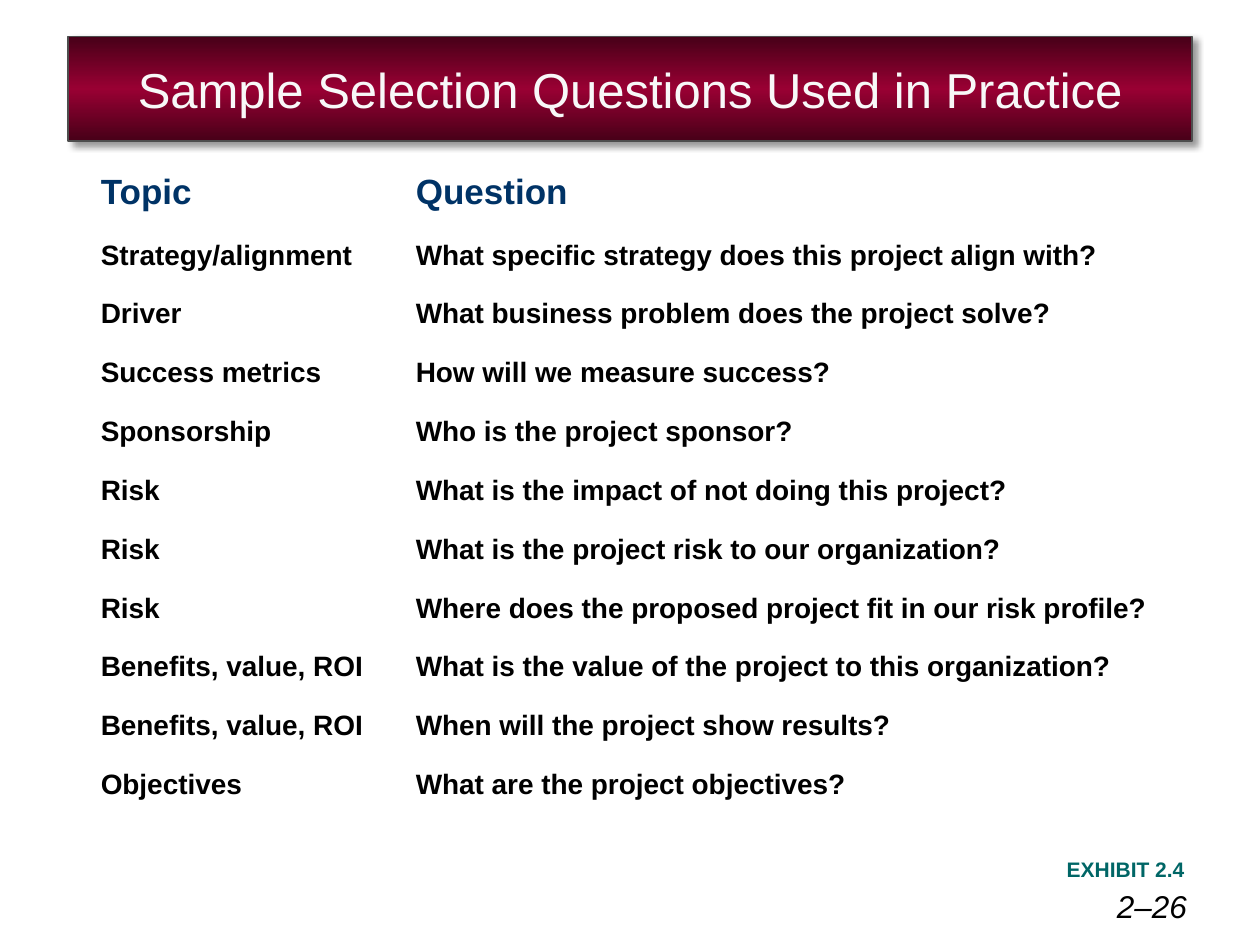
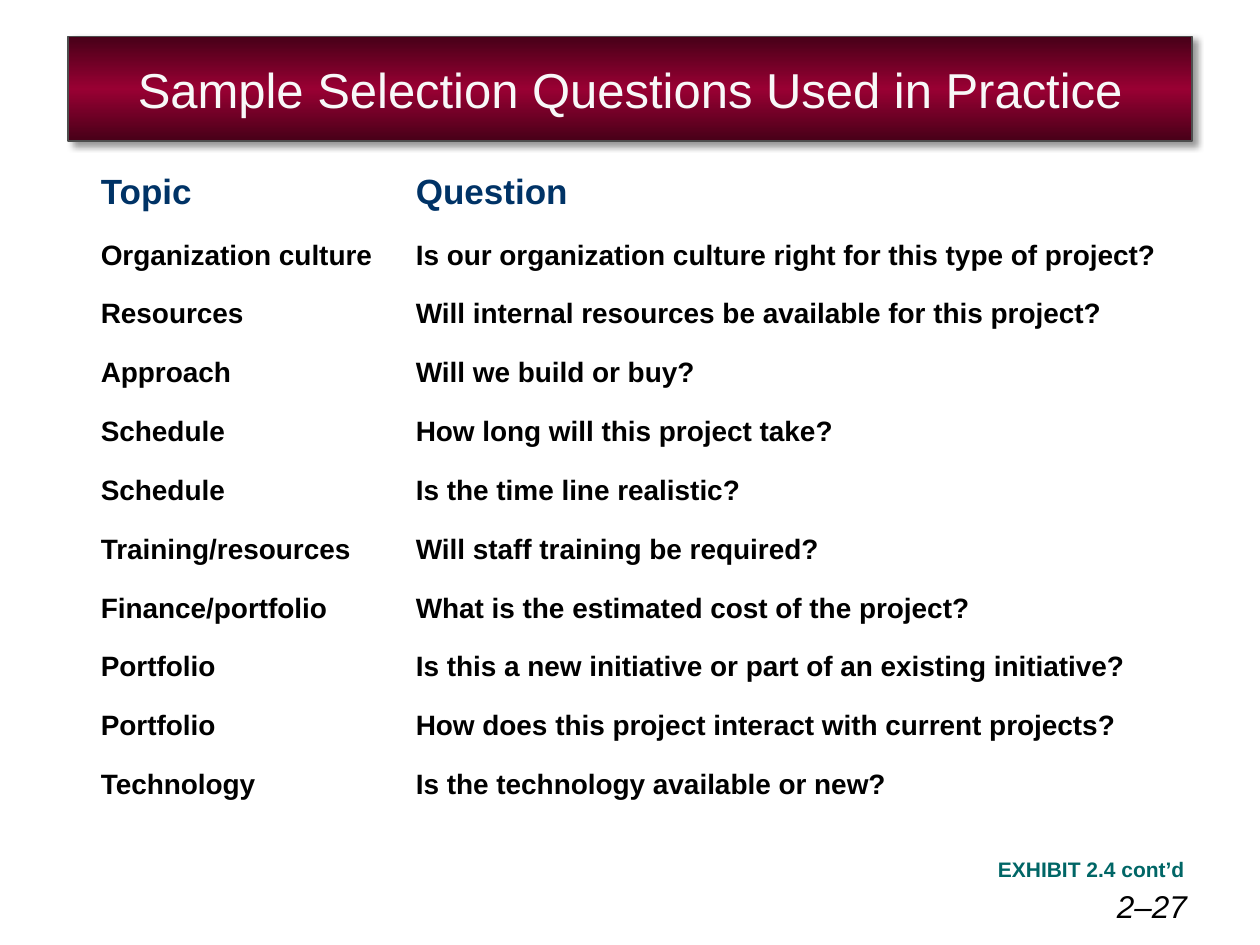
import pptx
import pptx.dml.color
import pptx.enum.text
import pptx.oxml
import pptx.oxml.ns
import pptx.util

Inches = pptx.util.Inches
Pt = pptx.util.Pt
ALIGN = pptx.enum.text.PP_ALIGN
ANCHOR = pptx.enum.text.MSO_ANCHOR

FONT = "Arial"
BLACK, NAVY, TEAL = "000000", "003366", "006666"
TITLE_TEXT, TITLE_LINE = "F8F8F8", "4D4D4D"
BAND_DARK, BAND_LIGHT = "470018", "990033"

TITLE = "Sample Selection Questions Used in Practice"
HEADER = ("Topic", "Question")
COLUMN_WIDTHS = (2.5, 6.2)
HEADER_HEIGHT, ROW_HEIGHT = 0.52, 0.467

STRATEGY_QUESTIONS = [
    ("Strategy/alignment", "What specific strategy does this project align with?"),
    ("Driver", "What business problem does the project solve?"),
    ("Success metrics", "How will we measure success?"),
    ("Sponsorship", "Who is the project sponsor?"),
    ("Risk", "What is the impact of not doing this project?"),
    ("Risk", "What is the project risk to our organization?"),
    ("Risk", "Where does the proposed project fit in our risk profile?"),
    ("Benefits, value, ROI", "What is the value of the project to this organization?"),
    ("Benefits, value, ROI", "When will the project show results?"),
    ("Objectives", "What are the project objectives?"),
]
DELIVERY_QUESTIONS = [
    ("Organization culture", "Is our organization culture right for this type of project?"),
    ("Resources", "Will internal resources be available for this project?"),
    ("Approach", "Will we build or buy?"),
    ("Schedule", "How long will this project take?"),
    ("Schedule", "Is the time line realistic?"),
    ("Training/resources", "Will staff training be required?"),
    ("Finance/portfolio", "What is the estimated cost of the project?"),
    ("Portfolio", "Is this a new initiative or part of an existing initiative?"),
    ("Portfolio", "How does this project interact with current projects?"),
    ("Technology", "Is the technology available or new?"),
]


def rgb(value):
    return pptx.dml.color.RGBColor.from_string(value)


def set_margins(target, x, y):
    target.margin_left = target.margin_right = Inches(x)
    target.margin_top = target.margin_bottom = Inches(y)


def write(tf, text, size, color, align=ALIGN.LEFT, bold=False, italic=False):
    p = tf.paragraphs[0]
    p.alignment = align
    r = p.add_run()
    r.text = text
    r.font.name = FONT
    r.font.size = Pt(size)
    r.font.bold = bold
    r.font.italic = italic
    r.font.color.rgb = rgb(color)


def add_band_effects(sp):
    """Give the title band its three-stop gradient, outline and shadow."""
    ns = pptx.oxml.ns.nsdecls("a")
    stops = "".join(
        f'<a:gs pos="{pos * 1000}"><a:srgbClr val="{color}"/></a:gs>'
        for pos, color in ((0, BAND_DARK), (50, BAND_LIGHT), (100, BAND_DARK)))
    gradient = (f'<a:gradFill {ns} rotWithShape="1"><a:gsLst>{stops}</a:gsLst>'
                '<a:lin ang="5400000" scaled="1"/></a:gradFill>')
    shadow = (f'<a:effectLst {ns}><a:outerShdw blurRad="{Pt(4)}" dist="{Pt(3)}" '
              'dir="2700000" algn="tl" rotWithShape="0"><a:srgbClr val="000000">'
              '<a:alpha val="40000"/></a:srgbClr></a:outerShdw></a:effectLst>')
    geometry = f'<a:prstGeom {ns} prst="rect"><a:avLst/></a:prstGeom>'
    sp_pr = sp.element.spPr
    for xml in (geometry, gradient):
        sp_pr.append(pptx.oxml.parse_xml(xml))
    sp.line.color.rgb = rgb(TITLE_LINE)
    sp.line.width = Pt(0.75)
    sp_pr.append(pptx.oxml.parse_xml(shadow))


def add_title(s, text):
    sp = s.shapes.title
    sp.left, sp.top = Inches(0.54), Inches(0.29)
    sp.width, sp.height = Inches(8.92), Inches(0.83)
    add_band_effects(sp)
    tf = sp.text_frame
    tf.auto_size = pptx.enum.text.MSO_AUTO_SIZE.NONE
    tf.vertical_anchor = ANCHOR.MIDDLE
    set_margins(tf, 0.1, 0.15)
    write(tf, text, 28, TITLE_TEXT, ALIGN.CENTER)


def add_text_box(s, x, y, w, h):
    tf = s.shapes.add_textbox(Inches(x), Inches(y), Inches(w), Inches(h)).text_frame
    tf.word_wrap = True
    return tf


def add_page_number(s, text):
    tf = add_text_box(s, 7.1, 7.17, 2.32, 0.17)
    tf.vertical_anchor = ANCHOR.BOTTOM
    set_margins(tf, 0, 0)
    write(tf, text, 18, BLACK, ALIGN.RIGHT, italic=True)


def add_exhibit_label(s, text, width):
    tf = add_text_box(s, 9.5 - width, 6.75, width, 0.3)
    write(tf, text, 12, TEAL, ALIGN.RIGHT, bold=True)


def add_question_table(s, questions):
    rows = [HEADER, *questions]
    height = HEADER_HEIGHT + ROW_HEIGHT * len(questions)
    table = s.shapes.add_table(
        len(rows), len(HEADER), Inches(0.7), Inches(1.25),
        Inches(sum(COLUMN_WIDTHS)), Inches(height)).table
    table.first_row = table.horz_banding = False
    for column, width in zip(table.columns, COLUMN_WIDTHS):
        column.width = Inches(width)
    for i, row in enumerate(rows):
        is_header = i == 0
        table.rows[i].height = Inches(HEADER_HEIGHT if is_header else ROW_HEIGHT)
        size, color = (20, NAVY) if is_header else (16, BLACK)
        for j, text in enumerate(row):
            cell = table.cell(i, j)
            cell.fill.background()
            cell.vertical_anchor = ANCHOR.BOTTOM
            set_margins(cell, 0.1, 0.1)
            write(cell.text_frame, text, size, color, bold=True)


def add_question_slide(prs, page, exhibit, exhibit_width, questions):
    s = prs.slides.add_slide(prs.slide_layouts[5])
    add_title(s, TITLE)
    add_page_number(s, page)
    add_exhibit_label(s, exhibit, exhibit_width)
    add_question_table(s, questions)


def main():
    prs = pptx.Presentation()
    prs.slide_width, prs.slide_height = Inches(10), Inches(7.5)
    add_question_slide(prs, "2–26", "EXHIBIT 2.4", 1.4, STRATEGY_QUESTIONS)
    add_question_slide(prs, "2–27", "EXHIBIT 2.4 cont’d", 2.5, DELIVERY_QUESTIONS)
    prs.save("out.pptx")


if __name__ == "__main__":
    main()
